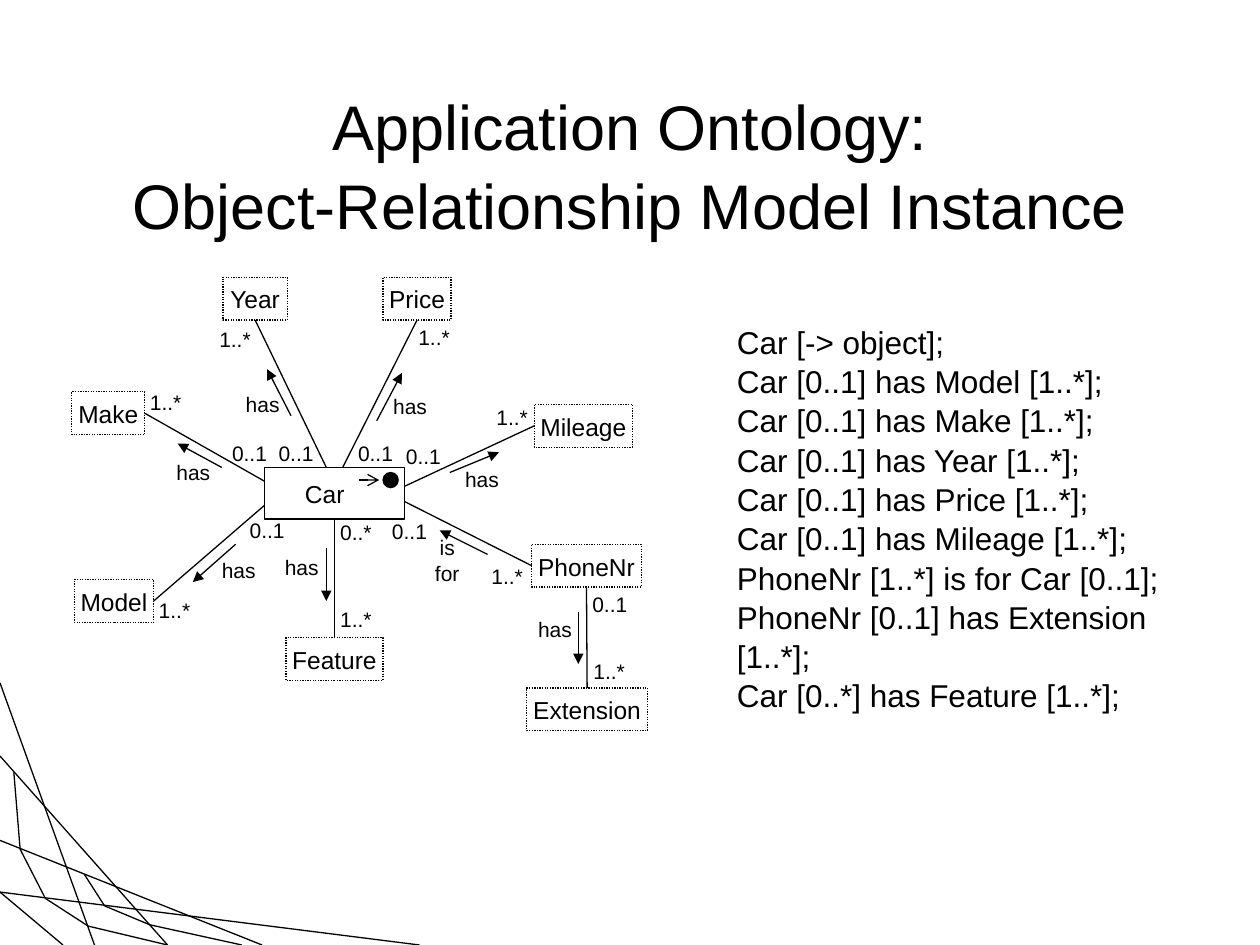
"""Build a slide showing a car ontology as a relationship diagram with its textual form."""
import pptx
import pptx.dml.color
import pptx.enum.dml
import pptx.enum.shapes
import pptx.enum.text
import pptx.oxml
import pptx.oxml.ns
import pptx.util
from pptx.util import Inches

COLORS = {"ink": "000000", "paper": "FFFFFF"}
INK = pptx.dml.color.RGBColor.from_string(COLORS["ink"])
PAPER = pptx.dml.color.RGBColor.from_string(COLORS["paper"])
CENTER = pptx.enum.text.PP_ALIGN.CENTER
LEFT = pptx.enum.text.PP_ALIGN.LEFT
SHAPES = pptx.enum.shapes.MSO_SHAPE
TOP_SIDE, LEFT_SIDE, BOTTOM_SIDE, RIGHT_SIDE = range(4)

deck = pptx.Presentation()
deck.slide_width, deck.slide_height = Inches(10), Inches(7.5)
slide = deck.slides.add_slide(deck.slide_layouts[6])


def write(shape, paragraphs, size, align=CENTER, inset=0.05, wrap=False):
    frame = shape.text_frame
    frame.word_wrap = wrap
    frame.vertical_anchor = pptx.enum.text.MSO_ANCHOR.MIDDLE
    frame.margin_left = frame.margin_right = Inches(inset)
    frame.margin_top = frame.margin_bottom = Inches(0.05)
    for number, lines in enumerate(paragraphs):
        paragraph = frame.paragraphs[0] if number == 0 else frame.add_paragraph()
        paragraph.alignment = align
        paragraph.line_spacing = 1.04
        for position, line in enumerate(lines.split("\n")):
            if position:
                paragraph.add_line_break()
            run = paragraph.add_run()
            run.text = line
            run.font.name = "Arial"
            run.font.size = pptx.util.Pt(size)
            run.font.color.rgb = INK


def draw_line(start, end, head=None):
    line = slide.shapes.add_connector(
        pptx.enum.shapes.MSO_CONNECTOR.STRAIGHT, *map(Inches, start + end))
    line.line.color.rgb = INK
    line.line.width = pptx.util.Pt(0.75)
    properties = line._element.spPr
    if head:
        tail = pptx.oxml.parse_xml(f'<a:tailEnd {pptx.oxml.ns.nsdecls("a")} type="{head}"/>')
        properties.find(pptx.oxml.ns.qn("a:ln")).append(tail)
    properties.append(pptx.oxml.parse_xml(f'<a:effectLst {pptx.oxml.ns.nsdecls("a")}/>'))
    return line


corner_strands = [
    [(0, 5.42), (0.75, 7.5)],
    [(0, 6), (1.33, 7.5)],
    [(0, 6.67), (2.08, 7.5)],
    [(0, 7.08), (3.33, 7.5)],
    [(0.11, 6.13), (0.16, 6.74), (0.36, 7.13), (0.7, 7.35), (1.33, 7.5)],
    [(0, 7.08), (0.5, 7.5)],
    [(0.67, 6.94), (0.83, 7.19), (1.19, 7.34), (1.92, 7.5)],
]
for strand in corner_strands:
    for start, end in zip(strand, strand[1:]):
        draw_line(start, end)

title = slide.shapes.add_textbox(Inches(0.75), Inches(0.67), Inches(8.5), Inches(1.25))
write(title, ["Application Ontology:\nObject-Relationship Model Instance"], 36, inset=0.1, wrap=True)

rules = slide.shapes.add_textbox(Inches(5.75), Inches(2.71), Inches(4.1), Inches(2.8))
write(rules, [
    "Car [-> object];",
    "Car [0..1] has Model [1..*];",
    "Car [0..1] has Make [1..*];",
    "Car [0..1] has Year [1..*];",
    "Car [0..1] has Price [1..*];",
    "Car [0..1] has Mileage [1..*];",
    "PhoneNr [1..*] is for Car [0..1];",
    "PhoneNr [0..1] has Extension [1..*];",
    "Car [0..*] has Feature [1..*];",
], 18, LEFT, 0.1)

entity_boxes = {
    "Year": (1.77, 2.2, 0.51, 0.34),
    "Price": (3.04, 2.2, 0.54, 0.34),
    "Make": (0.57, 3.11, 0.58, 0.34),
    "Mileage": (4.24, 3.21, 0.78, 0.34),
    "Model": (0.59, 4.6, 0.63, 0.34),
    "Feature": (2.27, 5.06, 0.77, 0.34),
    "PhoneNr": (4.22, 4.32, 0.87, 0.34),
    "Extension": (4.18, 5.46, 0.96, 0.34),
    "Car": (2.1, 3.71, 1.11, 0.41),
}
entities = {}
for name, box in entity_boxes.items():
    entity = slide.shapes.add_shape(SHAPES.RECTANGLE, *map(Inches, box))
    entity.shadow.inherit = False
    entity.fill.solid()
    entity.fill.fore_color.rgb = PAPER
    entity.line.color.rgb = INK
    entity.line.width = pptx.util.Pt(0.75)
    if name == "Car":
        write(entity, [name], 14, LEFT, 0.32)
    else:
        entity.line.dash_style = pptx.enum.dml.MSO_LINE.ROUND_DOT
        write(entity, [name], 14)
    entities[name] = entity

car_relations = [
    ("Model", RIGHT_SIDE, (2.1, 4.01)),
    ("Make", RIGHT_SIDE, (2.1, 3.82)),
    ("Year", BOTTOM_SIDE, (2.59, 3.71)),
    ("Price", BOTTOM_SIDE, (2.72, 3.71)),
    ("Mileage", LEFT_SIDE, (3.21, 3.86)),
    ("PhoneNr", LEFT_SIDE, (3.21, 3.98)),
]
for name, side, car_end in car_relations:
    draw_line(car_end, car_end).end_connect(entities[name], side)

for upper, lower in [("Car", "Feature"), ("PhoneNr", "Extension")]:
    relation = draw_line((0, 0), (0, 0))
    relation.begin_connect(entities[upper], BOTTOM_SIDE)
    relation.end_connect(entities[lower], TOP_SIDE)

reading_directions = [
    ((1.76, 3.71), (1.41, 3.52)), ((2.59, 4.35), (2.59, 4.77)),
    ((1.87, 4.32), (1.53, 4.62)), ((2.99, 3.34), (3.19, 2.96)),
    ((3.57, 3.75), (3.96, 3.59)), ((3.87, 4.4), (3.49, 4.21)),
    ((4.59, 4.86), (4.59, 5.27)), ((2.31, 3.3), (2.12, 2.93)),
]
for start, end in reading_directions:
    draw_line(start, end, "triangle")

label_spots = {
    "has": (0.37, [(3.07, 3.07), (1.9, 3.05), (1.35, 3.59), (1.71, 4.37),
                   (3.64, 3.65), (2.21, 4.35), (4.22, 4.84)]),
    "is for": (0.46, [(3.32, 4.29)]),
    "1..*": (0.35, [(1.14, 3.04), (1.21, 4.69), (1.69, 2.54), (3.27, 2.52), (3.85, 4.42),
                    (3.89, 3.16), (2.65, 4.76), (4.66, 5.17)]),
    "0..1": (0.38, [(1.93, 4.05), (1.79, 3.44), (2.79, 3.44), (2.16, 3.44),
                    (3.06, 4.06), (3.17, 3.47), (4.65, 4.64)]),
    "0..*": (0.35, [(2.65, 4.07)]),
}
for wording, (width, spots) in label_spots.items():
    for left, top in spots:
        label = slide.shapes.add_textbox(Inches(left), Inches(top), Inches(width), Inches(0.3))
        write(label, [wording], 12)

object_dot = slide.shapes.add_shape(
    SHAPES.OVAL, Inches(3.04), Inches(3.75), Inches(0.12), Inches(0.12))
object_dot.shadow.inherit = False
object_dot.fill.solid()
object_dot.fill.fore_color.rgb = INK
object_dot.line.color.rgb = INK
object_dot.line.width = pptx.util.Pt(0.75)
draw_line((2.85, 3.81), (3.01, 3.81), "arrow")

deck.save("out.pptx")
